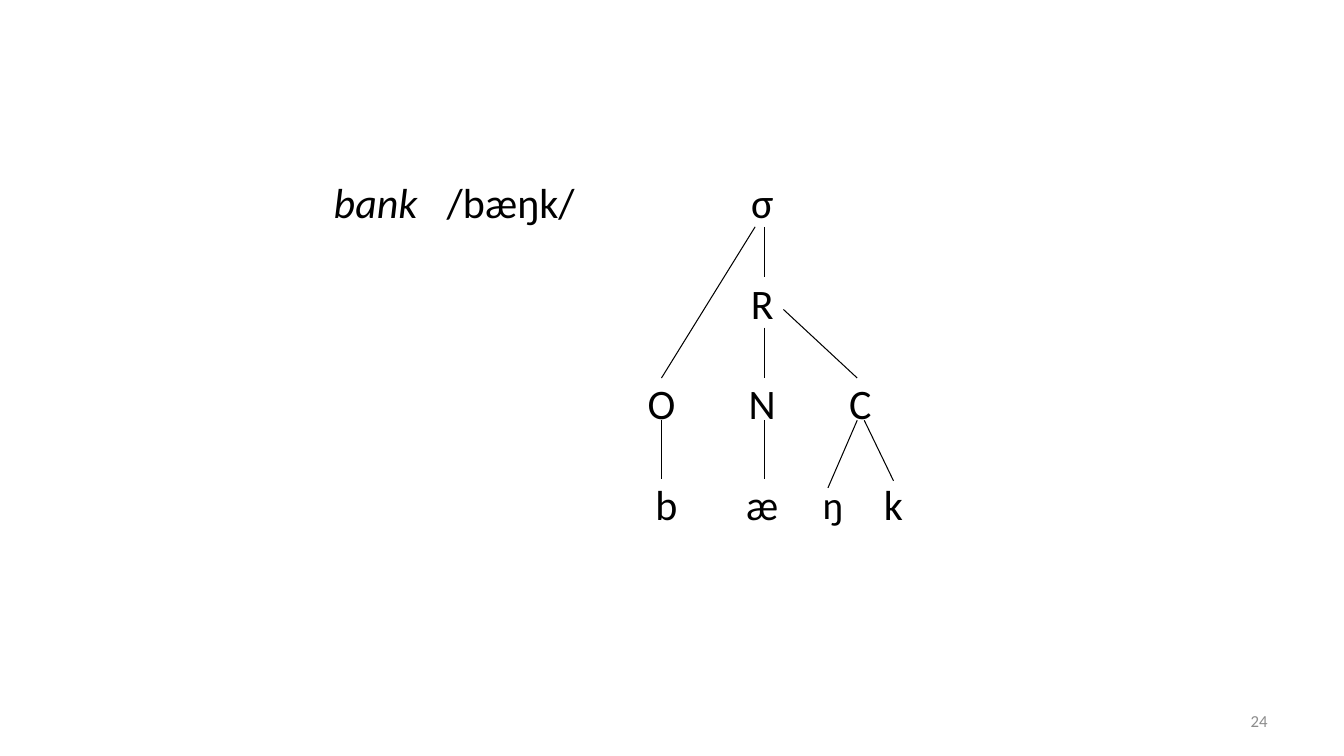
from lxml.etree import SubElement
from pptx import Presentation
from pptx.dml.color import RGBColor
from pptx.enum.shapes import MSO_CONNECTOR
from pptx.enum.text import MSO_ANCHOR, PP_ALIGN
from pptx.oxml.ns import qn
from pptx.util import Inches, Pt

FONT = "Calibri"
BLACK = "000000"
GRAY = "8C8C8C"
LABEL_HEIGHT = 0.6
LABEL_WIDTH = 0.6


def color(value):
    return RGBColor.from_string(value)


def add_text(slide, text, box, size=30, fill=BLACK, align=PP_ALIGN.LEFT, italic=False, margin=0):
    shape = slide.shapes.add_textbox(*map(Inches, box))
    frame = shape.text_frame
    frame.word_wrap = True
    frame.vertical_anchor = MSO_ANCHOR.MIDDLE
    frame.margin_left = frame.margin_right = Inches(margin)
    frame.margin_top = frame.margin_bottom = 0
    frame.text = text
    paragraph = frame.paragraphs[0]
    paragraph.alignment = align
    font = paragraph.runs[0].font
    font.name = FONT
    font.size = Pt(size)
    font.italic = italic
    font.color.rgb = color(fill)


def add_branch(slide, start, end):
    connector = slide.shapes.add_connector(MSO_CONNECTOR.STRAIGHT, *map(Inches, start + end))
    connector.line.color.rgb = color(BLACK)
    connector.line.width = Pt(0.75)
    SubElement(connector._element.spPr, qn("a:effectLst"))


def add_example_word(slide, left, top, width, height):
    word_width = 1.12
    add_text(slide, "bank", (left, top, word_width, height), italic=True)
    add_text(slide, "/bæŋk/", (left + word_width, top, width - word_width, height))


def add_syllable_tree(slide, left, top, width, height):
    row_height = height / 4
    onset, nucleus, coda = [width * fraction for fraction in (0.13, 0.5, 0.86)]
    nodes = [
        ("σ", nucleus, 0, 30),
        ("R", nucleus, 1, 30),
        ("O", onset, 2, 30),
        ("N", nucleus, 2, 30),
        ("C", coda, 2, 30),
        ("b", onset + 0.05, 3, 30),
        ("æ", nucleus, 3, 30),
        ("ŋ", coda - 0.27, 3, 28),
        ("k", coda + 0.33, 3, 30),
    ]
    for text, center, row, size in nodes:
        label_top = top + (row + 0.5) * row_height - LABEL_HEIGHT / 2
        box = (left + center - LABEL_WIDTH / 2, label_top, LABEL_WIDTH, LABEL_HEIGHT)
        add_text(slide, text, box, size, align=PP_ALIGN.CENTER)

    stem = nucleus + 0.02
    branches = [
        ((stem - 0.09, 0.75), (onset, 2.25)),
        ((stem, 0.75), (stem, 1.25)),
        ((stem, 1.75), (stem, 2.25)),
        ((stem + 0.19, 1.57), (coda - 0.03, 2.25)),
        ((onset, 2.67), (onset, 3.25)),
        ((stem, 2.67), (stem, 3.25)),
        ((coda - 0.03, 2.67), (coda - 0.32, 3.34)),
        ((coda + 0.04, 2.67), (coda + 0.33, 3.27)),
    ]
    for start, end in branches:
        add_branch(
            slide,
            (left + start[0], top + start[1] * row_height),
            (left + end[0], top + end[1] * row_height),
        )


def add_slide_number(slide, left, top, width, height):
    add_text(slide, "24", (left, top, width, height), 12, GRAY, PP_ALIGN.RIGHT, margin=0.1)


def main():
    presentation = Presentation()
    presentation.slide_width = Inches(13.33)
    presentation.slide_height = Inches(7.5)
    slide = presentation.slides.add_slide(presentation.slide_layouts[6])
    add_example_word(slide, 3.31, 1.7, 3, LABEL_HEIGHT)
    add_syllable_tree(slide, 6.21, 1.5, 2.7, 4)
    add_slide_number(slide, 9.56, 6.95, 3.11, 0.4)
    presentation.save("out.pptx")


if __name__ == "__main__":
    main()
